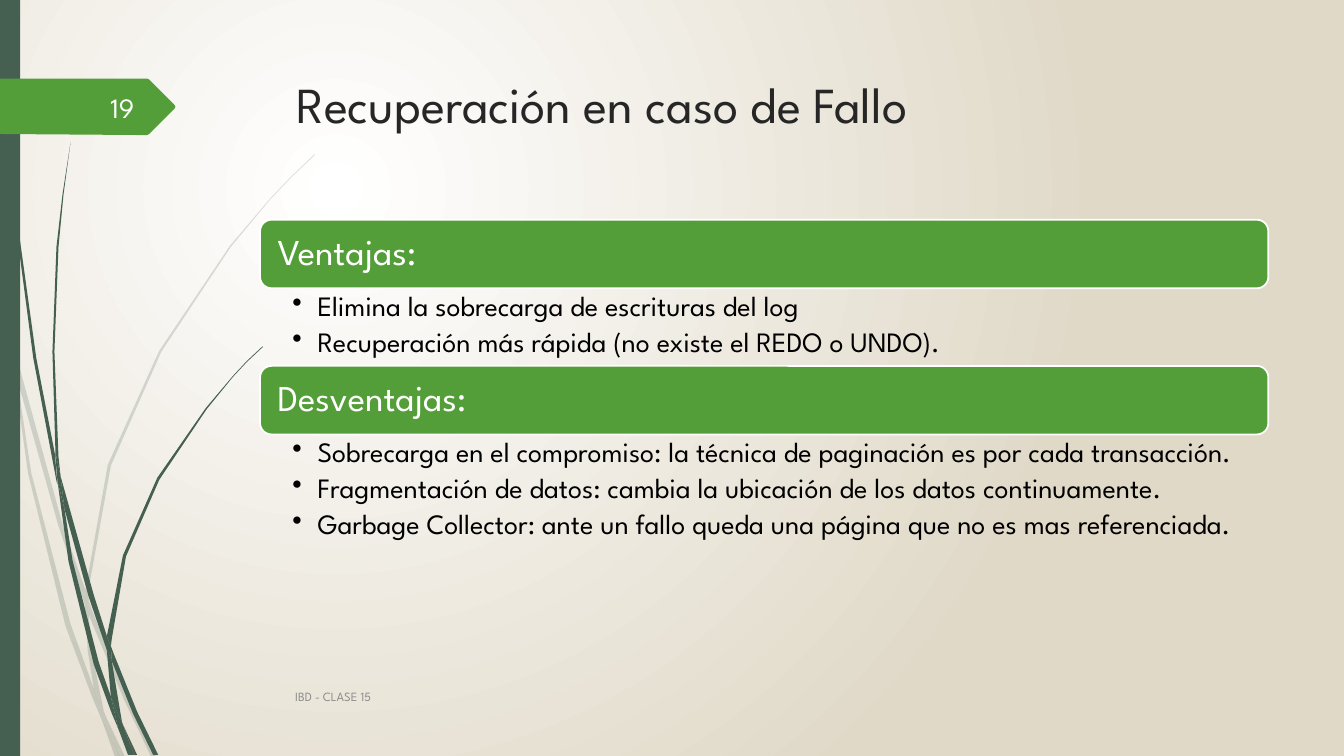
from dataclasses import dataclass

from lxml.etree import SubElement
from pptx import Presentation
from pptx.dml.color import RGBColor
from pptx.enum.shapes import MSO_SHAPE as Preset
from pptx.enum.text import MSO_ANCHOR as Anchor, PP_ALIGN as Align
from pptx.oxml import parse_xml
from pptx.oxml.ns import nsdecls, qn
from pptx.util import Inches, Pt


@dataclass(frozen=True)
class Theme:
    font: str = "League Spartan"
    green: str = "549E39"
    stem: str = "455F51"
    white: str = "FFFFFF"
    sand: str = "E0D9C8"
    title: str = "262626"
    body: str = "000000"
    footer: str = "8C8C8C"
    number: str = "FEFFFF"
    title_size: int = 36
    heading_size: int = 26
    body_size: int = 20
    footer_size: int = 9


THEME = Theme()

PALE_STEMS = [
    [(0.11, 3.5), (0.09, 3.22), (0, 2.82), (0, 2.99), (0.1, 3.44)],
    [(0.58, 5.22), (0.84, 5.99), (0.85, 5.86), (0.62, 5.2), (0.14, 3.45), (0.17, 3.76)],
    [(0.92, 6.07), (0.88, 5.96), (0.88, 6.1), (1.23, 6.94), (1.5, 7.51), (1.55, 7.51),
     (1.27, 6.92)],
    [(1.19, 7.51), (1.24, 7.51), (1.05, 7.11)],
    [(0.93, 6.83), (0.7, 6.19), (0.31, 4.69), (0.17, 3.76), (0.11, 3.5), (0.28, 4.7),
     (0.65, 6.21), (0.92, 6.93), (1.01, 7.14), (0.99, 7.07)],
    [(0.84, 5.99), (0.87, 6.46), (0.93, 6.83), (0.96, 6.92), (1.05, 7.11), (1.03, 7.06),
     (0.91, 6.46), (0.88, 6.1), (0.88, 6.08)],
    [(0.88, 5.84), (1.1, 4.62), (1.6, 3.49), (2.29, 2.45), (2.68, 1.98), (2.9, 1.75),
     (3.12, 1.54), (3.12, 1.53), (2.89, 1.75), (2.68, 1.97), (2.28, 2.44), (1.58, 3.48),
     (1.07, 4.61), (0.85, 5.84), (0.85, 5.86), (0.88, 5.96)],
    [(1.01, 7.14), (1.14, 7.51), (1.19, 7.51)],
    [(0.88, 6.08), (0.88, 6.1), (0.88, 5.96), (0.85, 5.86), (0.84, 5.99)],
    [(0.96, 6.92), (0.93, 6.83), (0.99, 7.07), (1.01, 7.14), (1.19, 7.51), (1.05, 7.11)],
]

DARK_STEMS = [
    [(0.07, 1.1), (0.17, 2.33), (0.33, 3.55), (0.56, 4.77), (0.57, 4.81), (0.55, 4.57),
     (0.55, 4.53), (0.36, 3.55), (0.19, 2.32), (0.08, 1.09), (0.05, 0.48), (0.04, 0),
     (0.03, 0), (0.04, 0.48)],
    [(0.88, 5.92), (1.06, 6.45), (1.06, 6.33), (1.06, 6.31), (0.93, 5.9), (0.6, 4.72),
     (0.64, 5.05)],
    [(1.13, 6.49), (1.1, 6.41), (1.11, 6.56), (1.32, 7.08), (1.52, 7.49), (1.57, 7.49),
     (1.36, 7.06)],
    [(1.1, 6.91), (0.98, 6.57), (0.72, 5.56), (0.64, 5.05), (0.57, 4.77), (0.68, 5.57),
     (0.93, 6.59), (1.11, 7.08), (1.17, 7.22), (1.16, 7.17)],
    [(0.6, 4.72), (0.58, 4.53), (0.54, 3.49), (0.58, 2.45), (0.63, 1.93), (0.7, 1.41),
     (0.62, 1.93), (0.56, 2.45), (0.52, 3.49), (0.55, 4.49)],
    [(1.33, 7.49), (1.36, 7.49), (1.22, 7.19)],
    [(0.57, 4.77), (0.64, 5.05), (0.6, 4.72), (0.55, 4.49), (0.55, 4.53)],
    [(1.11, 6.33), (1.25, 5.52), (1.58, 4.76), (2.05, 4.06), (2.31, 3.74), (2.45, 3.59),
     (2.61, 3.44), (2.6, 3.44), (2.45, 3.58), (2.31, 3.73), (2.04, 4.05), (1.56, 4.74),
     (1.22, 5.51), (1.06, 6.31), (1.1, 6.41)],
    [(1.17, 7.22), (1.27, 7.49), (1.31, 7.49)],
    [(1.06, 6.45), (1.1, 6.91), (1.16, 7.06), (1.22, 7.19), (1.21, 7.16), (1.11, 6.56),
     (1.09, 6.51)],
    [(1.06, 6.45), (1.09, 6.51), (1.11, 6.56), (1.1, 6.41), (1.06, 6.31), (1.06, 6.33)],
    [(1.16, 7.06), (1.1, 6.91), (1.16, 7.17), (1.17, 7.22), (1.3, 7.49), (1.33, 7.49),
     (1.22, 7.19)],
]

NUMBER_TAG = [(1.73, 1.08), (1.48, 1.33), (1.46, 1.34), (1.36, 1.34), (0, 1.33),
              (0, 0.78), (1.46, 0.78), (1.48, 0.79), (1.73, 1.04), (1.74, 1.06)]

SECTIONS = [
    (2.18, 0.77, "Ventajas:", [
        "Elimina la sobrecarga de escrituras del log",
        "Recuperación más rápida (no existe el REDO o UNDO).",
    ]),
    (3.63, 2.06, "Desventajas:", [
        "Sobrecarga en el compromiso: la técnica de paginación es por cada transacción.",
        "Fragmentación de datos: cambia la ubicación de los datos continuamente.",
        "Garbage Collector: ante un fallo queda una página que no es mas referenciada.",
    ]),
]


def color(value):
    return RGBColor.from_string(value)


def paint(shape, fill, line=None, opacity=None):
    shape.shadow.inherit = False
    shape.fill.solid()
    shape.fill.fore_color.rgb = color(fill)
    if opacity is not None:
        solid = shape._element.spPr.find(qn("a:solidFill"))
        SubElement(solid[0], qn("a:alpha"), val=str(opacity * 1000))
    if line:
        shape.line.color.rgb = color(line)
        shape.line.width = Pt(1.25)
    else:
        shape.line.fill.background()
    return shape


def add_outline(slide, points, fill, opacity=None):
    corners = [(Inches(x), Inches(y)) for x, y in points]
    builder = slide.shapes.build_freeform(*corners[0])
    builder.add_line_segments(corners[1:], close=True)
    paint(builder.convert_to_shape(), fill, opacity=opacity)


def add_preset(slide, preset, box, fill, line=None):
    shape = slide.shapes.add_shape(preset, *map(Inches, box))
    return paint(shape, fill, line)


def add_box(slide, *box):
    return slide.shapes.add_textbox(*map(Inches, box))


def write(shape, *lines, size, ink, align=Align.LEFT, anchor=Anchor.TOP,
          insets=(0.1, 0.05, 0.1, 0.05), spacing=None, after=None, bullet=False):
    frame = shape.text_frame
    frame.word_wrap = True
    frame.vertical_anchor = anchor
    (frame.margin_left, frame.margin_top,
     frame.margin_right, frame.margin_bottom) = map(Inches, insets)
    for index, line in enumerate(lines):
        paragraph = frame.add_paragraph() if index else frame.paragraphs[0]
        properties = paragraph._p.get_or_add_pPr()
        if bullet:
            properties.set("marL", str(Inches(0.25)))
            properties.set("indent", str(Inches(-0.25)))
            SubElement(properties, qn("a:buChar"), char="•")
        if after:
            SubElement(properties.get_or_add_spcAft(), qn("a:spcPct"), val=str(after * 1000))
        paragraph.line_spacing = spacing
        paragraph.alignment = align
        run = paragraph.add_run()
        run.text = line
        run.font.name = THEME.font
        run.font.size = Pt(size)
        run.font.color.rgb = color(ink)


def add_background(slide):
    fill = slide.background.fill
    fill.gradient()
    for stop, shade in zip(fill.gradient_stops, (THEME.white, THEME.sand)):
        stop.color.rgb = color(shade)
    linear = slide._element.find(".//" + qn("a:lin"))
    linear.getparent().replace(linear, parse_xml(
        f'<a:path {nsdecls("a")} path="circle">'
        '<a:fillToRect l="50000" t="50000" r="100000" b="100000"/></a:path>'))


def add_section(slide, top, height, heading, points):
    bar = add_preset(slide, Preset.ROUNDED_RECTANGLE, (2.58, top, 10, 0.68),
                     THEME.green, THEME.white)
    write(bar, heading, size=THEME.heading_size, ink=THEME.white, anchor=Anchor.MIDDLE,
          insets=(0.14, 0.11, 0.14, 0.11), spacing=0.9, after=35)
    write(add_box(slide, 2.58, top + 0.68, 10, height), *points, size=THEME.body_size,
          ink=THEME.body, insets=(0.32, 0.04, 0.2, 0.04), spacing=0.9, after=20, bullet=True)


def main():
    presentation = Presentation()
    presentation.slide_width = Inches(13.33)
    presentation.slide_height = Inches(7.5)
    slide = presentation.slides.add_slide(presentation.slide_layouts[6])
    add_background(slide)
    for stem in PALE_STEMS:
        add_outline(slide, stem, THEME.stem, opacity=20)
    for stem in DARK_STEMS:
        add_outline(slide, stem, THEME.stem)
    add_preset(slide, Preset.RECTANGLE, (0, 0, 0.2, 7.5), THEME.stem)
    add_outline(slide, NUMBER_TAG, THEME.green)
    write(add_box(slide, 2.84, 0.68, 9.75, 1.4), "Recuperación en caso de Fallo",
          size=THEME.title_size, ink=THEME.title)
    for section in SECTIONS:
        add_section(slide, *section)
    write(add_box(slide, 2.83, 6.71, 8.33, 0.4), "IBD - CLASE 15",
          size=THEME.footer_size, ink=THEME.footer, anchor=Anchor.MIDDLE)
    write(add_box(slide, 0.58, 0.86, 0.85, 0.4), "19", size=THEME.body_size,
          ink=THEME.number, align=Align.RIGHT, anchor=Anchor.MIDDLE)
    presentation.save("out.pptx")


if __name__ == "__main__":
    main()
